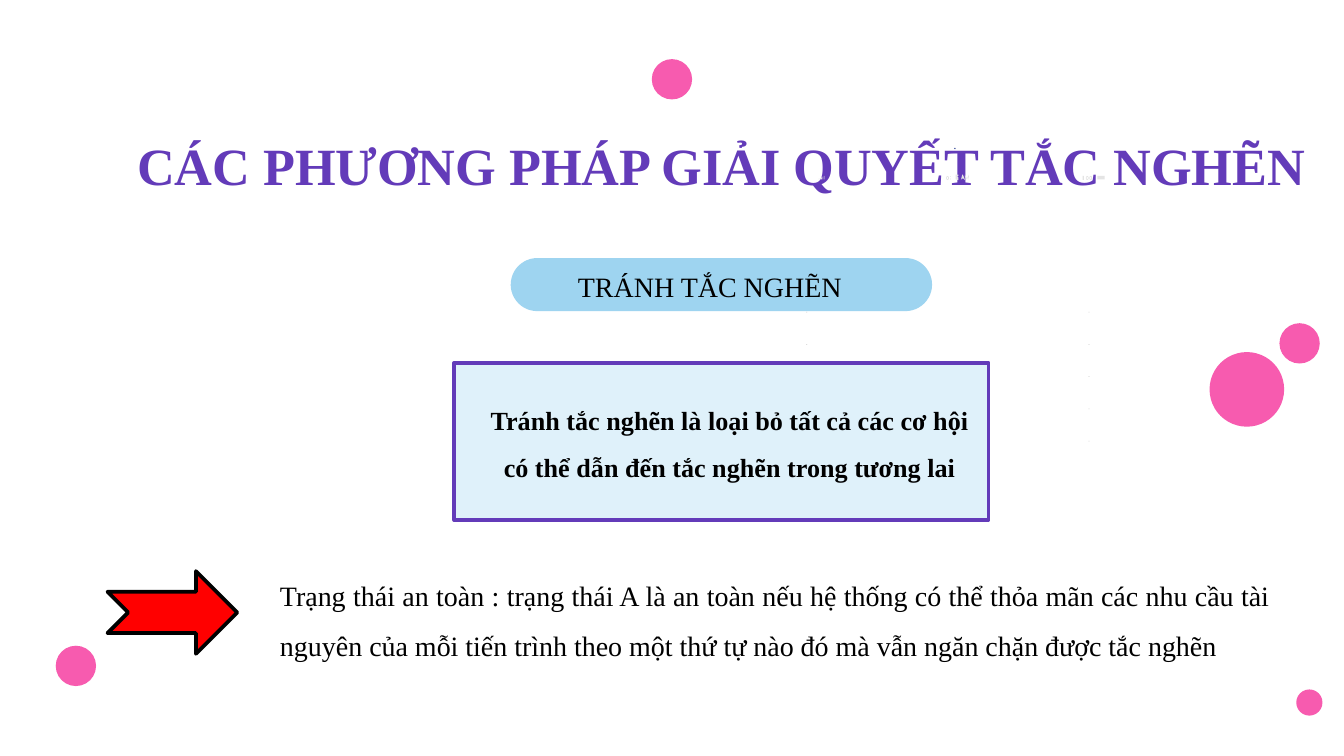
from pptx import Presentation
from pptx import util as u
from pptx.dml.color import RGBColor
from pptx.enum import shapes, text

PX = 4572
COLORS = {
    "pink": "F75BAF", "purple": "633BB9", "blue": "9ED4F0", "pale": "DFF1FA",
    "red": "FF0000", "black": "000000", "status": "E4E4E4", "dot": "B0B0B0",
    "navy": "1F348B",
}
SHAPE = shapes.MSO_SHAPE
ALIGN = text.PP_ALIGN
ANCHOR = text.MSO_ANCHOR


def px(n):
    """Turn whole px into EMU."""
    return u.Emu(n * PX)


def rgb(name):
    """Look up a named colour."""
    return RGBColor.from_string(COLORS[name])


def paint(sp, fill, line=None):
    """Give a shape its fill and outline, without a shadow."""
    sp.shadow.inherit = False
    sp.fill.solid()
    sp.fill.fore_color.rgb = rgb(fill)
    if line:
        sp.line.color.rgb = rgb(line)
        sp.line.width = u.Pt(2)
    else:
        sp.line.fill.background()
    return sp


def add_box(s, kind, box, fill, line=None):
    """Add a preset shape."""
    return paint(s.shapes.add_shape(kind, *map(px, box)), fill, line)


def add_outline(s, points, fill):
    """Add a closed polygon."""
    builder = s.shapes.build_freeform(*points[0], scale=PX)
    builder.add_line_segments(points[1:], close=True)
    return paint(builder.convert_to_shape(), fill)


def add_circle(s, x, y, d):
    """Add a pink circle."""
    return add_box(s, SHAPE.OVAL, (x, y, d, d), "pink")


def write(sp, box, words, size, color="black", bold=False, margin=20, frame=None, para=None):
    """Place a text shape and format its single paragraph."""
    for name, value in zip(("left", "top", "width", "height"), box):
        setattr(sp, name, px(value))
    tf = sp.text_frame
    p = tf.paragraphs[0]
    r = p.add_run()
    r.text = words
    sides = {"margin_left": px(20), "margin_right": px(20),
             "margin_top": px(margin), "margin_bottom": px(margin)}
    formats = (
        (tf, {"word_wrap": True, "auto_size": text.MSO_AUTO_SIZE.NONE, **sides, **(frame or {})}),
        (p, {"space_before": u.Pt(0), **(para or {})}),
        (r.font, {"name": "Times New Roman", "size": u.Pt(size), "bold": bold}),
    )
    for target, values in formats:
        for name, value in values.items():
            setattr(target, name, value)
    r.font.color.rgb = rgb(color)


def add_text(s, box, words, size, align, bold=False):
    """Add a text box with wide line spacing."""
    sp = s.shapes.add_textbox(*map(px, box))
    write(sp, box, words, size, bold=bold, margin=10,
          para={"alignment": align, "line_spacing": 1.5})


def add_status_marks(s):
    """Add the small clock, battery and signal marks."""
    for x, y, w, h in ((1414, 262, 1, 1), (1414, 266, 1, 1), (1611, 262, 2, 6), (1633, 262, 11, 5)):
        add_box(s, SHAPE.RECTANGLE, (x, y, w, h), "status")
    for i in range(5):
        add_box(s, SHAPE.RECTANGLE, (1218 + 2 * i, 266 - i, 1, 1 + i), "status")
    for x in (1408, 1616, 1621):
        add_box(s, SHAPE.DONUT, (x, 262, 4, 6), "status")
    five = [(1422, 260), (1426, 260), (1426, 262), (1424, 262), (1426, 264), (1426, 268), (1422, 267)]
    letter_a = [(1430, 268), (1432, 260), (1433, 260), (1436, 268), (1434, 266), (1431, 266)]
    letter_m = [(1436, 268), (1436, 260), (1439, 266), (1442, 260), (1442, 268), (1441, 263),
                (1439, 267), (1437, 263)]
    for points in (five, letter_a, letter_m):
        add_outline(s, points, "status")


def add_dots(s):
    """Add the faint dots in two columns."""
    add_box(s, SHAPE.OVAL, (1420, 220, 2, 2), "navy")
    for x, count in ((1200, 2), (1620, 5)):
        for i in range(count):
            add_box(s, SHAPE.RECTANGLE, (x, 464 + 48 * i, 1, 1), "dot")


def main():
    """Build the slide and save it."""
    prs = Presentation()
    prs.slide_width, prs.slide_height = px(2000), px(1125)
    s = prs.slides.add_slide(prs.slide_layouts[0])
    title, subtitle = s.placeholders

    for x, y, d in ((970, 88, 60), (1929, 1026, 39), (1800, 524, 111), (1904, 481, 60), (83, 961, 60)):
        add_circle(s, x, y, d)

    write(title, (140, 60, 1866, 324), "CÁC PHƯƠNG PHÁP GIẢI QUYẾT TẮC NGHẼN", 28, "purple", True,
          frame={"vertical_anchor": ANCHOR.MIDDLE},
          para={"alignment": ALIGN.CENTER, "line_spacing": 1.5})
    pill = add_box(s, SHAPE.ROUNDED_RECTANGLE, (760, 384, 627, 79), "blue")
    pill.adjustments[0] = 0.5
    write(subtitle, (840, 386, 628, 80), "TRÁNH TẮC NGHẼN", 15,
          frame={"vertical_anchor": ANCHOR.MIDDLE}, para={"alignment": ALIGN.LEFT})
    pill.element.addnext(subtitle.element)

    add_status_marks(s)
    add_dots(s)

    add_text(s, (397, 826, 1514, 172),
             "Trạng thái an toàn : trạng thái A là an toàn nếu hệ thống có thể thỏa mãn các nhu cầu tài "
             "nguyên của mỗi tiến trình theo một thứ tự nào đó mà vẫn ngăn chặn được tắc nghẽn",
             15, ALIGN.JUSTIFY)
    add_box(s, SHAPE.RECTANGLE, (676, 540, 795, 234), "pale", "purple")
    add_text(s, (701, 569, 770, 154),
             "Tránh tắc nghẽn là loại bỏ tất cả các cơ hội có thể dẫn đến tắc nghẽn trong tương lai",
             14, ALIGN.CENTER, True)
    add_box(s, SHAPE.NOTCHED_RIGHT_ARROW, (160, 850, 193, 123), "red", "black")

    prs.save("out.pptx")


if __name__ == "__main__":
    main()
